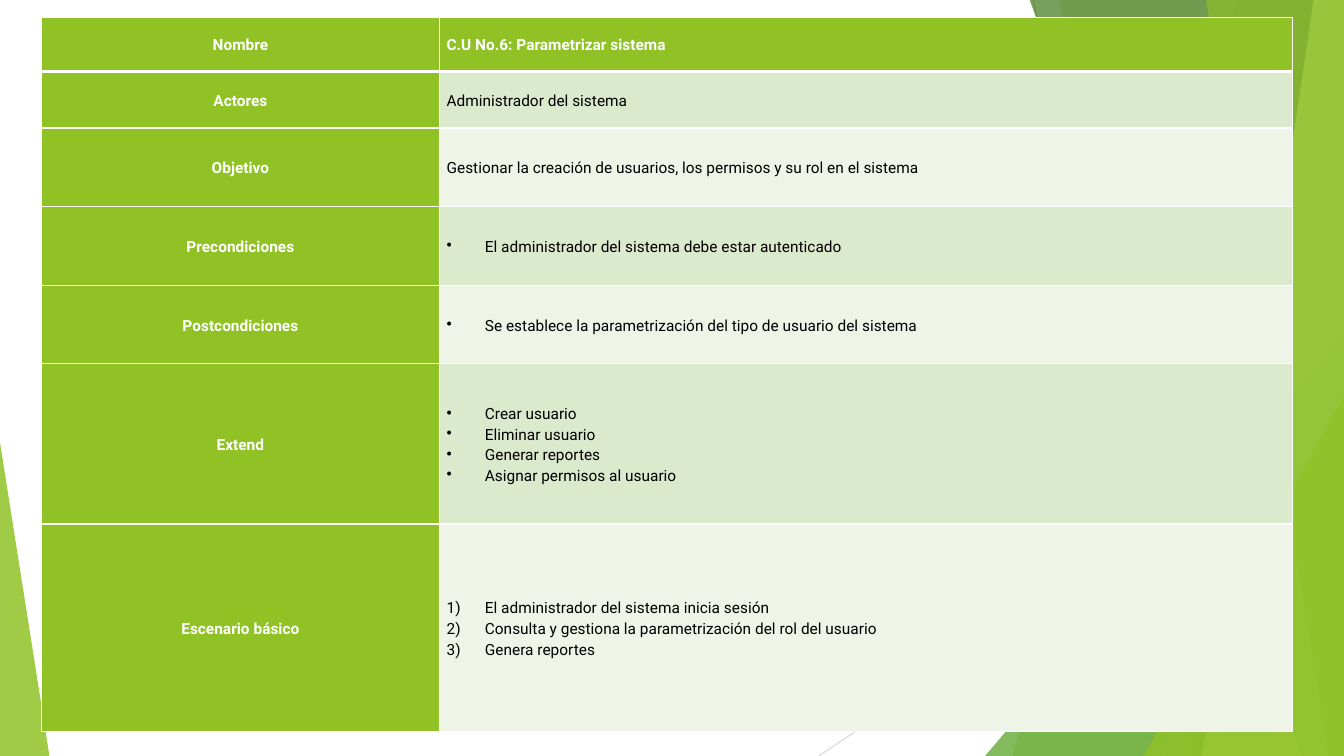
from lxml import etree
from pptx import Presentation
from pptx.dml.color import RGBColor
from pptx.enum.shapes import MSO_CONNECTOR, MSO_SHAPE
from pptx.enum.text import MSO_ANCHOR, PP_ALIGN
from pptx.oxml.ns import qn
from pptx.util import Inches, Pt

STRAIGHT = MSO_CONNECTOR.STRAIGHT
TRIANGLE = MSO_SHAPE.ISOSCELES_TRIANGLE
MIDDLE = MSO_ANCHOR.MIDDLE
CENTER, LEFT = PP_ALIGN.CENTER, PP_ALIGN.LEFT

WHITE = RGBColor(0xFF, 0xFF, 0xFF)
BLACK = RGBColor(0x00, 0x00, 0x00)
GREEN = RGBColor(0x90, 0xC2, 0x26)
LEAF = RGBColor(0x54, 0xA0, 0x21)
FOREST = RGBColor(0x3F, 0x78, 0x19)
LIME = RGBColor(0xC0, 0xE4, 0x74)
BAND_DARK = RGBColor(0xDB, 0xE9, 0xCD)
BAND_LIGHT = RGBColor(0xEE, 0xF4, 0xE8)
GRAY = RGBColor(0xBF, 0xBF, 0xBF)
PALE_GRAY = RGBColor(0xD9, 0xD9, 0xD9)

WIDTH, HEIGHT = 13.33, 7.5
TOP = -0.01
BULLET = ("a:buChar", "char", "•")
NUMBER = ("a:buAutoNum", "type", "arabicParenR")

RAYS = [(10.25, 0, 11.58, HEIGHT, GRAY), (WIDTH, 4.03, 8.12, HEIGHT, PALE_GRAY)]
BACK_PANELS = [(12.28, 10.04, GREEN, 30), (10.5, 11.83, GREEN, 20)]
FRONT_PANELS = [
    (10.21, 12.91, FOREST, 70),
    (13.03, 11.92, LIME, 70),
    (11.96, 13.18, GREEN, 65),
]
USE_CASE = [
    ("Nombre", 0.54, None, ["C.U No.6: Parametrizar sistema"]),
    ("Actores", 0.56, None, ["Administrador del sistema"]),
    ("Objetivo", 0.78, None,
     ["Gestionar la creación de usuarios, los permisos y su rol en el sistema"]),
    ("Precondiciones", 0.78, BULLET,
     ["El administrador del sistema debe estar autenticado"]),
    ("Postcondiciones", 0.78, BULLET,
     ["Se establece la parametrización del tipo de usuario del sistema"]),
    ("Extend", 1.59, BULLET,
     ["Crear usuario", "Eliminar usuario", "Generar reportes",
      "Asignar permisos al usuario"]),
    ("Escenario básico", 2.06, NUMBER,
     ["El administrador del sistema inicia sesión",
      "Consulta y gestiona la parametrización del rol del usuario",
      "Genera reportes"]),
]


class UseCaseSlide:
    """Draws the elements of a use case slide in one shared style."""

    font, size, spacing, hanging = "Roboto", Pt(11), 1.15, Inches(0.38)

    def __init__(self, slide):
        self.slide = slide

    def ray(self, x1, y1, x2, y2, color):
        ray = self.slide.shapes.add_connector(
            STRAIGHT, Inches(x1), Inches(y1), Inches(x2), Inches(y2))
        ray.line.color.rgb = color
        ray.line.width = Pt(0.75)
        etree.SubElement(ray._element.spPr, qn("a:effectLst"))

    def tint(self, facet, color, opacity):
        facet.shadow.inherit = False
        facet.line.fill.background()
        facet.fill.solid()
        facet.fill.fore_color.rgb = color
        tone = facet._element.spPr.find(".//" + qn("a:srgbClr"))
        etree.SubElement(tone, qn("a:alpha"), val=str(opacity * 1000))

    def panel(self, top_x, bottom_x, color, opacity):
        outline = self.slide.shapes.build_freeform(Inches(top_x), Inches(TOP))
        corners = [(WIDTH, TOP), (WIDTH, HEIGHT), (bottom_x, HEIGHT)]
        outline.add_line_segments([(Inches(x), Inches(y)) for x, y in corners])
        self.tint(outline.convert_to_shape(), color, opacity)

    def triangle(self, left, width, height, apex, color, opacity):
        facet = self.slide.shapes.add_shape(
            TRIANGLE, Inches(left), Inches(HEIGHT - height),
            Inches(width), Inches(height))
        facet.adjustments[0] = apex
        self.tint(facet, color, opacity)

    def borders(self, cell, bottom):
        properties = cell._tc.get_or_add_tcPr()
        for side, points in (("L", 1), ("R", 1), ("T", 1), ("B", bottom)):
            edge = etree.SubElement(properties, qn("a:ln" + side), w=str(Pt(points)))
            paint = etree.SubElement(edge, qn("a:solidFill"))
            etree.SubElement(paint, qn("a:srgbClr"), val=str(WHITE))

    def marker(self, paragraph, marker):
        tag, attribute, value = marker
        properties = paragraph._p.get_or_add_pPr()
        properties.set("marL", str(self.hanging))
        properties.set("indent", str(-self.hanging))
        etree.SubElement(properties, qn(tag)).set(attribute, value)

    def cell(self, cell, lines, fill, color, bold, align, marker, bottom):
        self.borders(cell, bottom)
        cell.fill.solid()
        cell.fill.fore_color.rgb = fill
        cell.vertical_anchor = MIDDLE
        cell.margin_left = cell.margin_right = Inches(0.07)
        cell.margin_top = cell.margin_bottom = 0
        frame = cell.text_frame
        for index, line in enumerate(lines):
            paragraph = frame.add_paragraph() if index else frame.paragraphs[0]
            paragraph.alignment = align
            paragraph.line_spacing = self.spacing
            if marker:
                self.marker(paragraph, marker)
            run = paragraph.add_run()
            run.text = line
            run.font.name, run.font.size = self.font, self.size
            run.font.bold = bold
            run.font.color.rgb = color

    def table(self, left, top, widths, rows):
        heights = [row[1] for row in rows]
        table = self.slide.shapes.add_table(
            len(rows), len(widths), Inches(left), Inches(top),
            Inches(sum(widths)), Inches(sum(heights))).table
        table.horz_banding = False
        for column, width in zip(table.columns, widths):
            column.width = Inches(width)
        for index, (label, height, marker, lines) in enumerate(rows):
            table.rows[index].height = Inches(height)
            heading = index == 0
            bottom = 3 if heading else 1
            band = BAND_DARK if index % 2 else BAND_LIGHT
            self.cell(table.cell(index, 0), [label], GREEN, WHITE, True,
                      CENTER, None, bottom)
            self.cell(table.cell(index, 1), lines, GREEN if heading else band,
                      WHITE if heading else BLACK, heading, LEFT, marker, bottom)


def main():
    presentation = Presentation()
    presentation.slide_width = Inches(WIDTH)
    presentation.slide_height = Inches(HEIGHT)
    page = UseCaseSlide(presentation.slides.add_slide(presentation.slide_layouts[6]))
    for ray in RAYS:
        page.ray(*ray)
    for panel in BACK_PANELS:
        page.panel(*panel)
    page.triangle(9.77, 3.56, 4.17, 1, LEAF, 72)
    for panel in FRONT_PANELS:
        page.panel(*panel)
    page.triangle(11.34, 1.99, 3.57, 1, GREEN, 80)
    page.triangle(0, 0.49, 3.11, 0, GREEN, 85)
    page.table(0.41, 0.17, [3.95, 8.46], USE_CASE)
    presentation.save("out.pptx")


if __name__ == "__main__":
    main()
